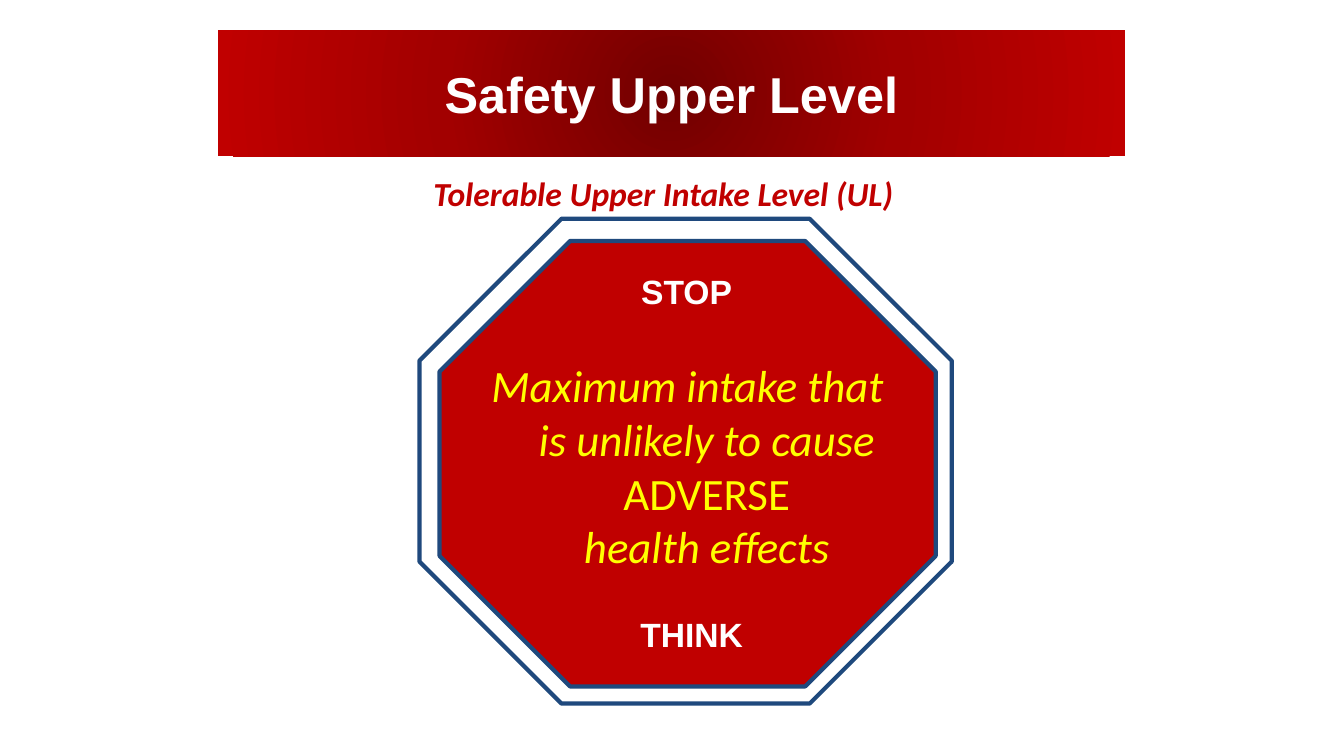
from dataclasses import dataclass

from pptx import Presentation
from pptx.dml.color import RGBColor
from pptx.enum.shapes import MSO_SHAPE
from pptx.enum.text import MSO_ANCHOR, PP_ALIGN
from pptx.oxml import parse_xml
from pptx.oxml.ns import nsdecls
from pptx.util import Inches, Pt


@dataclass(frozen=True)
class Theme:
    red: str = "C00000"
    white: str = "FFFFFF"
    yellow: str = "FFFF00"
    navy: str = "1F497D"
    banner_stops: tuple = ((0, "720000"), (50, "A20000"), (100, "C00000"))
    heading_font: str = "Arial"
    body_font: str = "Calibri"
    banner_size: int = 36
    body_size: int = 32
    label_size: int = 24
    outline: int = 3
    octagon_corner: float = 0.293


class SlideBuilder:
    def __init__(self, page, theme):
        self.page = page
        self.theme = theme

    def shape(self, kind, place):
        shape = self.page.shapes.add_shape(kind, *map(Inches, place))
        shape.shadow.inherit = False
        return shape

    def octagon(self, place, fill):
        sign = self.shape(MSO_SHAPE.OCTAGON, place)
        sign.adjustments[0] = self.theme.octagon_corner
        sign.fill.solid()
        sign.fill.fore_color.rgb = RGBColor.from_string(fill)
        sign.line.color.rgb = RGBColor.from_string(self.theme.navy)
        sign.line.width = Pt(self.theme.outline)

    def style(self, para, font, size, color, bold=False, italic=None):
        para.alignment = PP_ALIGN.CENTER
        para.font.name = font
        para.font.size = Pt(size)
        para.font.color.rgb = RGBColor.from_string(color)
        para.font.bold = bold
        para.font.italic = italic

    def text(self, place, text, font, size, color, **emphasis):
        box = self.page.shapes.add_textbox(*map(Inches, place))
        frame = box.text_frame
        frame.word_wrap = True
        frame.vertical_anchor = MSO_ANCHOR.MIDDLE
        para = frame.paragraphs[0]
        para.text = text
        self.style(para, font, size, color, **emphasis)

    def message(self, place, lines, indent):
        """Lines are (text, italic) pairs in one hanging paragraph."""
        box = self.page.shapes.add_textbox(*map(Inches, place))
        box.text_frame.word_wrap = True
        para = box.text_frame.paragraphs[0]
        self.style(para, self.theme.body_font, self.theme.body_size, self.theme.yellow)
        properties = para._p.get_or_add_pPr()
        properties.set("marL", str(Inches(indent)))
        properties.set("indent", str(-Inches(indent)))
        for number, (line, italic) in enumerate(lines):
            if number:
                para.add_line_break()
            span = para.add_run()
            span.text = line
            span.font.italic = italic
        # Line breaks take the paragraph size so that line spacing stays even
        for line_break in para._p.findall("a:br", {"a": "http://schemas.openxmlformats.org/drawingml/2006/main"}):
            line_break.append(parse_xml(
                f'<a:rPr {nsdecls("a")} sz="{self.theme.body_size * 100}">'
                f'<a:latin typeface="{self.theme.body_font}"/></a:rPr>'))

    def banner(self, place, text):
        theme = self.theme
        banner = self.shape(MSO_SHAPE.RECTANGLE, place)
        banner.line.fill.background()
        # Radial gradient, dark in the centre
        stops = "".join(
            f'<a:gs pos="{position * 1000}"><a:srgbClr val="{color}"/></a:gs>'
            for position, color in theme.banner_stops)
        gradient = parse_xml(
            f'<a:gradFill {nsdecls("a")} rotWithShape="1"><a:gsLst>{stops}</a:gsLst>'
            '<a:path path="circle"><a:fillToRect l="50000" t="50000" r="50000" b="50000"/>'
            '</a:path></a:gradFill>')
        banner._element.spPr.find(
            "a:prstGeom", {"a": "http://schemas.openxmlformats.org/drawingml/2006/main"}
        ).addnext(gradient)
        banner.text_frame.vertical_anchor = MSO_ANCHOR.MIDDLE
        para = banner.text_frame.paragraphs[0]
        para.text = text
        self.style(para, theme.heading_font, theme.banner_size, theme.white, bold=True)


def main():
    deck = Presentation()
    deck.slide_width, deck.slide_height = Inches(13.33), Inches(7.5)
    theme = Theme()
    builder = SlideBuilder(deck.slides.add_slide(deck.slide_layouts[6]), theme)

    # Stop sign: white rim, red face
    builder.octagon((4.16, 2.17, 5.28, 4.81), theme.white)
    builder.octagon((4.36, 2.39, 4.92, 4.42), theme.red)

    # Subtitle
    builder.text((2.08, 1.67, 9, 0.5), "Tolerable Upper Intake Level (UL)",
                 theme.body_font, theme.label_size, theme.red, bold=True, italic=True)

    # Message on the sign
    builder.message((3.82, 3.5, 6, 3.08), [
        ("Maximum intake that", True),
        ("is unlikely to cause", True),
        ("ADVERSE", False),
        ("health effects", True),
    ], indent=0.38)

    # Words above and below the message
    for word, left, top in (("STOP", 5.06, 2.64), ("THINK", 5.11, 6.04)):
        builder.text((left, top, 3.5, 0.5), word,
                     theme.heading_font, theme.label_size, theme.white, bold=True)

    # Title banner
    builder.banner((2.16, 0.3, 9, 1.25), "Safety Upper Level")

    deck.save("out.pptx")


if __name__ == "__main__":
    main()
